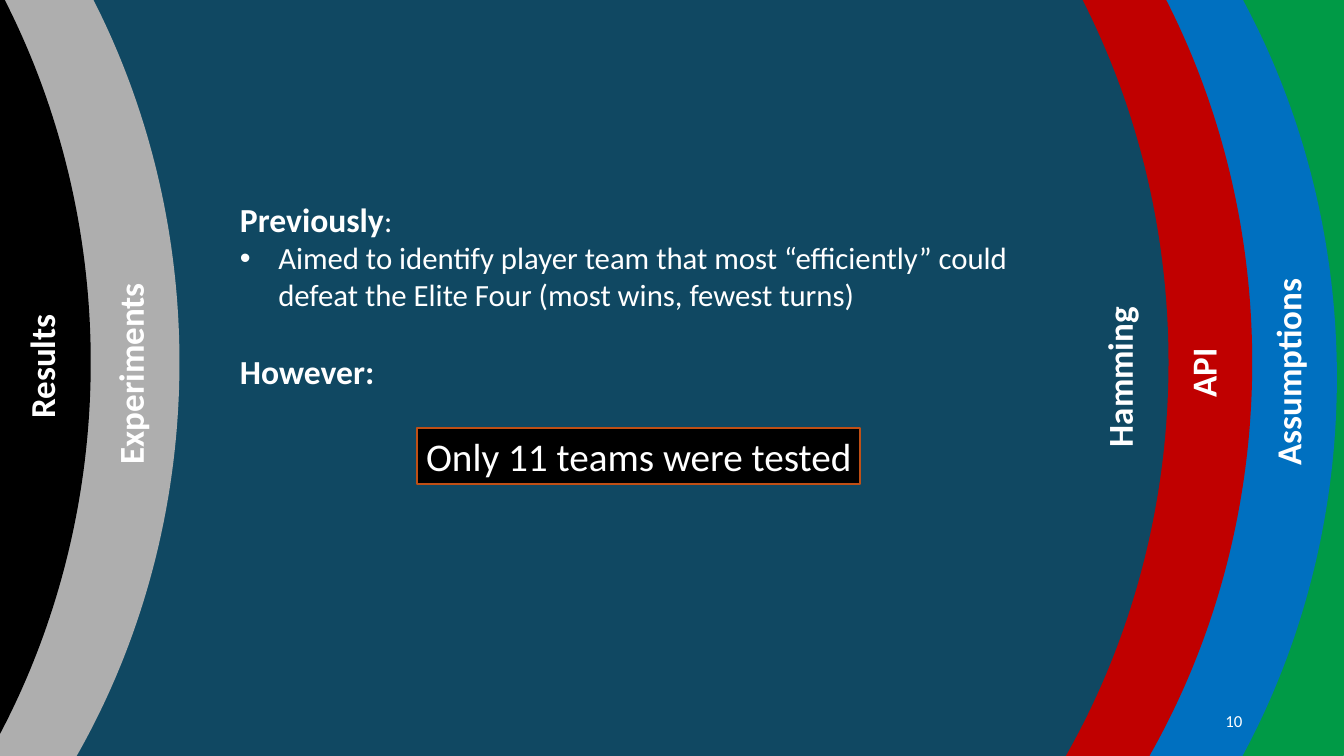
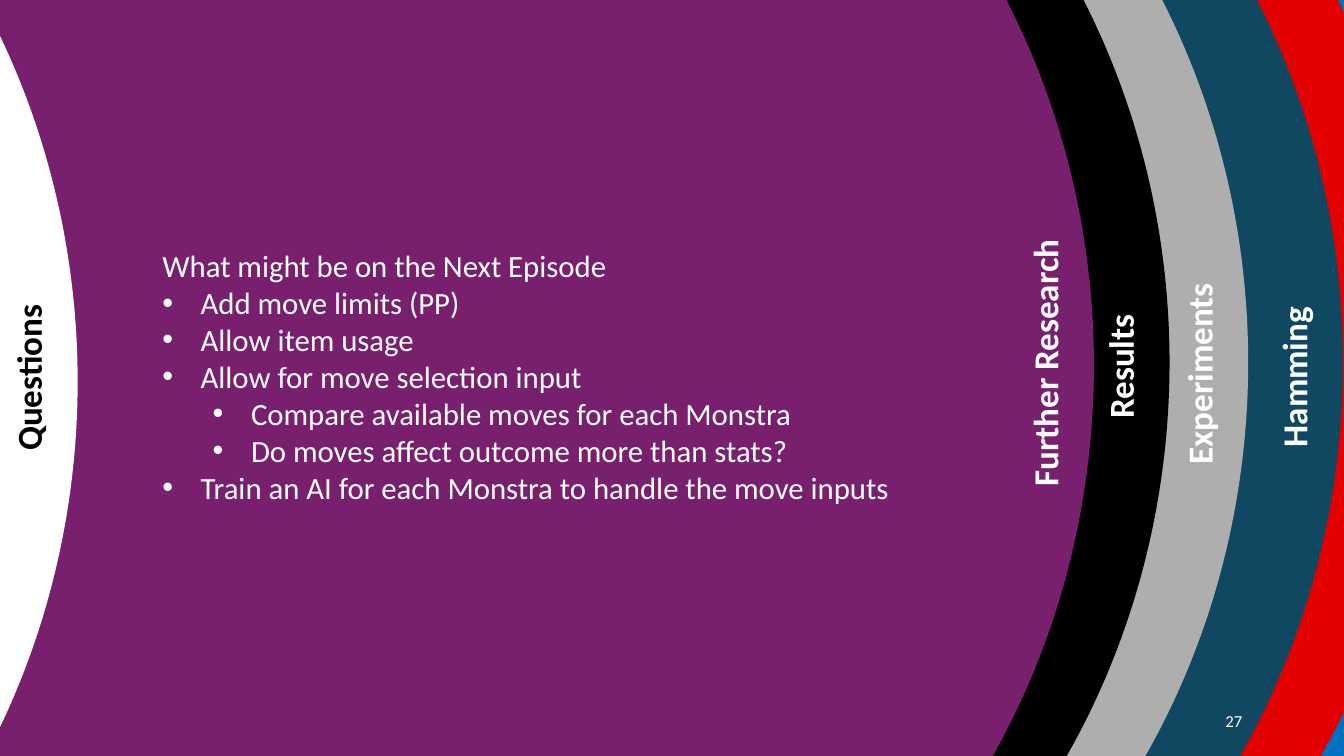
from dataclasses import dataclass

from lxml import etree
from pptx import Presentation
from pptx.dml.color import RGBColor
from pptx.enum.shapes import MSO_SHAPE
from pptx.enum.text import MSO_ANCHOR, MSO_AUTO_SIZE, PP_ALIGN
from pptx.oxml.ns import qn
from pptx.util import Inches, Pt

OVAL, RECTANGLE = MSO_SHAPE.OVAL, MSO_SHAPE.RECTANGLE
TOP, MIDDLE = MSO_ANCHOR.TOP, MSO_ANCHOR.MIDDLE
LEFT, CENTER, RIGHT = PP_ALIGN.LEFT, PP_ALIGN.CENTER, PP_ALIGN.RIGHT

# Shared sizes (inches, points) and colours
SLIDE_WIDTH, SLIDE_HEIGHT = 13.33, 7.5
RING_WIDTH, RING_HEIGHT = SLIDE_WIDTH, 14.69
LABEL_HEIGHT, LABEL_INSET, LABEL_SIZE = 0.52, 0.49, 25
BODY_SIZE, HEADING_SIZE = 22, 24
BULLET_INDENT, LEVEL_STEP = 0.38, 0.5
FONT = "Calibri"
WHITE, BLACK, GREEN, BLUE = "FFFFFF", "000000", "009A46", "0070C0"
DARK_RED, RED, TEAL, GRAY = "C00000", "E20000", "104862", "AEAEAE"
PURPLE, ORANGE, BACKGROUND = "78206E", "C04F15", "85ACBE"


@dataclass(frozen=True)
class Label:
    text: str
    length: float
    middle: float
    color: str = WHITE
    align: PP_ALIGN = LEFT


@dataclass(frozen=True)
class Ring:
    """A large ellipse placed by its right edge, with an optional label there."""
    edge: float
    top: float
    color: str
    label: Label | None = None


@dataclass(frozen=True)
class Line:
    """A body paragraph: runs of (text, size, bold); level 0 has no bullet."""
    runs: tuple
    level: int = 0
    space_before: float = 0


ASSUMPTIONS = Label("Assumptions", 2.15, 3.64)
API = Label("API", 0.93, 3.7, align=CENTER)
HAMMING = Label("Hamming", 2.15, 3.46)
EXPERIMENTS = Label("Experiments", 2.15, 3.63)
RESULTS = Label("Results", 1.3, 3.6)
FURTHER_RESEARCH = Label("Further Research", 2.78, 3.6, align=CENTER)
QUESTIONS = Label("Questions", 1.92, 3.61, BLACK)

# Rings from back to front
LIMITS_RINGS = (
    Ring(14.26, -3.6, GREEN),
    Ring(13.26, -3.6, BLUE, ASSUMPTIONS),
    Ring(12.42, -3.75, DARK_RED, API),
    Ring(11.59, -3.75, TEAL, HAMMING),
    Ring(1.78, -3.75, GRAY, EXPERIMENTS),
    Ring(0.9, -3.75, BLACK, RESULTS),
)
RESEARCH_RINGS = (
    Ring(15.81, -3.6, GREEN),
    Ring(14.96, -3.6, BLUE),
    Ring(14.12, -3.75, RED),
    Ring(13.32, -3.75, TEAL, HAMMING),
    Ring(12.38, -3.75, GRAY, EXPERIMENTS),
    Ring(11.6, -3.75, BLACK, RESULTS),
    Ring(10.85, -3.72, PURPLE, FURTHER_RESEARCH),
    Ring(0.77, -3.56, WHITE, QUESTIONS),
)


def plain_line(text: str, level: int = 0) -> Line:
    return Line(((text, BODY_SIZE, False),), level)


LIMITS_LINES = (
    Line((("Previously", HEADING_SIZE, True), (":", BODY_SIZE, False))),
    plain_line("Aimed to identify player team that most “efficiently” could "
               "defeat the Elite Four (most wins, fewest turns)", 1),
    Line((("However:", HEADING_SIZE, True),), space_before=27),
)
RESEARCH_LINES = (
    plain_line("What might be on the Next Episode"),
    plain_line("Add move limits (PP)", 1),
    plain_line("Allow item usage", 1),
    plain_line("Allow for move selection input", 1),
    plain_line("Compare available moves for each Monstra", 2),
    plain_line("Do moves affect outcome more than stats?", 2),
    plain_line("Train an AI for each Monstra to handle the move inputs", 1),
)


def rgb(color: str) -> RGBColor:
    return RGBColor.from_string(color)


def add_text(paragraph, text: str, *, size: float, bold: bool = False,
             color: str = WHITE, align: PP_ALIGN = LEFT) -> None:
    paragraph.alignment = align
    run = paragraph.add_run()
    run.text = text
    run.font.name, run.font.size, run.font.bold = FONT, Pt(size), bold
    run.font.color.rgb = rgb(color)


def add_filled_shape(slide, kind, box: tuple, fill: str, line: str | None = None):
    shape = slide.shapes.add_shape(kind, *map(Inches, box))
    shape.shadow.inherit = False
    shape.fill.solid()
    shape.fill.fore_color.rgb = rgb(fill)
    if line:
        shape.line.color.rgb = rgb(line)
        shape.line.width = Pt(1.5)
    else:
        shape.line.fill.background()
    return shape


def add_text_box(slide, box: tuple, text: str, *, anchor=TOP, **text_format):
    text_box = slide.shapes.add_textbox(*map(Inches, box))
    frame = text_box.text_frame
    frame.word_wrap, frame.vertical_anchor = True, anchor
    add_text(frame.paragraphs[0], text, **text_format)
    return text_box


def add_ring(slide, ring: Ring) -> None:
    box = (ring.edge - RING_WIDTH, ring.top, RING_WIDTH, RING_HEIGHT)
    add_filled_shape(slide, OVAL, box, ring.color)
    label = ring.label
    if label:
        box = (ring.edge - LABEL_INSET - label.length / 2,
               label.middle - LABEL_HEIGHT / 2, label.length, LABEL_HEIGHT)
        text_box = add_text_box(slide, box, label.text, size=LABEL_SIZE, bold=True,
                                color=label.color, align=label.align)
        text_box.rotation = 270


def set_bullet(paragraph, level: int) -> None:
    properties = paragraph._p.get_or_add_pPr()
    if level == 0:
        properties.set("marL", "0")
        properties.set("indent", "0")
        etree.SubElement(properties, qn("a:buNone"))
        return
    paragraph.level = level - 1
    margin = BULLET_INDENT + (level - 1) * LEVEL_STEP
    properties.set("marL", str(Inches(margin)))
    properties.set("indent", str(-Inches(BULLET_INDENT)))
    etree.SubElement(properties, qn("a:buFont")).set("typeface", "Arial")
    etree.SubElement(properties, qn("a:buChar")).set("char", "•")


def fill_body(slide, box: tuple, lines: tuple) -> None:
    body = slide.placeholders[1]
    body.left, body.top, body.width, body.height = map(Inches, box)
    slide.shapes._spTree.append(body._element)  # in front of the rings
    frame = body.text_frame
    frame.auto_size, frame.vertical_anchor = MSO_AUTO_SIZE.NONE, TOP
    frame.word_wrap = True
    for index, line in enumerate(lines):
        paragraph = frame.add_paragraph() if index else frame.paragraphs[0]
        set_bullet(paragraph, line.level)
        paragraph.line_spacing = 1.0
        paragraph.space_before = Pt(line.space_before)
        for text, size, bold in line.runs:
            add_text(paragraph, text, size=size, bold=bold)


def add_ring_slide(presentation, rings: tuple, body_box: tuple, lines: tuple,
                   number: str):
    slide = presentation.slides.add_slide(presentation.slide_layouts[1])
    title = slide.shapes.title._element
    title.getparent().remove(title)
    slide.background.fill.solid()
    slide.background.fill.fore_color.rgb = rgb(BACKGROUND)
    for ring in rings:
        add_ring(slide, ring)
    fill_body(slide, body_box, lines)
    add_text_box(slide, (9.42, 6.95, 3, 0.4), number, anchor=MIDDLE, size=12,
                 align=RIGHT)
    return slide


def main() -> None:
    presentation = Presentation()
    presentation.slide_width = Inches(SLIDE_WIDTH)
    presentation.slide_height = Inches(SLIDE_HEIGHT)

    # Limits of the earlier experiment, with the boxed finding
    slide = add_ring_slide(presentation, LIMITS_RINGS, (2.28, 1.92, 8.1, 2.2),
                           LIMITS_LINES, "10")
    finding = add_filled_shape(slide, RECTANGLE, (4.14, 4.25, 4.39, 0.55),
                               BLACK, ORANGE)
    finding.text_frame.word_wrap = False
    finding.text_frame.vertical_anchor = MIDDLE
    add_text(finding.text_frame.paragraphs[0], "Only 11 teams were tested",
             size=28, align=CENTER)

    # Further research
    add_ring_slide(presentation, RESEARCH_RINGS, (1.51, 2.4, 7.95, 2.69),
                   RESEARCH_LINES, "27")
    presentation.save("out.pptx")


if __name__ == "__main__":
    main()
